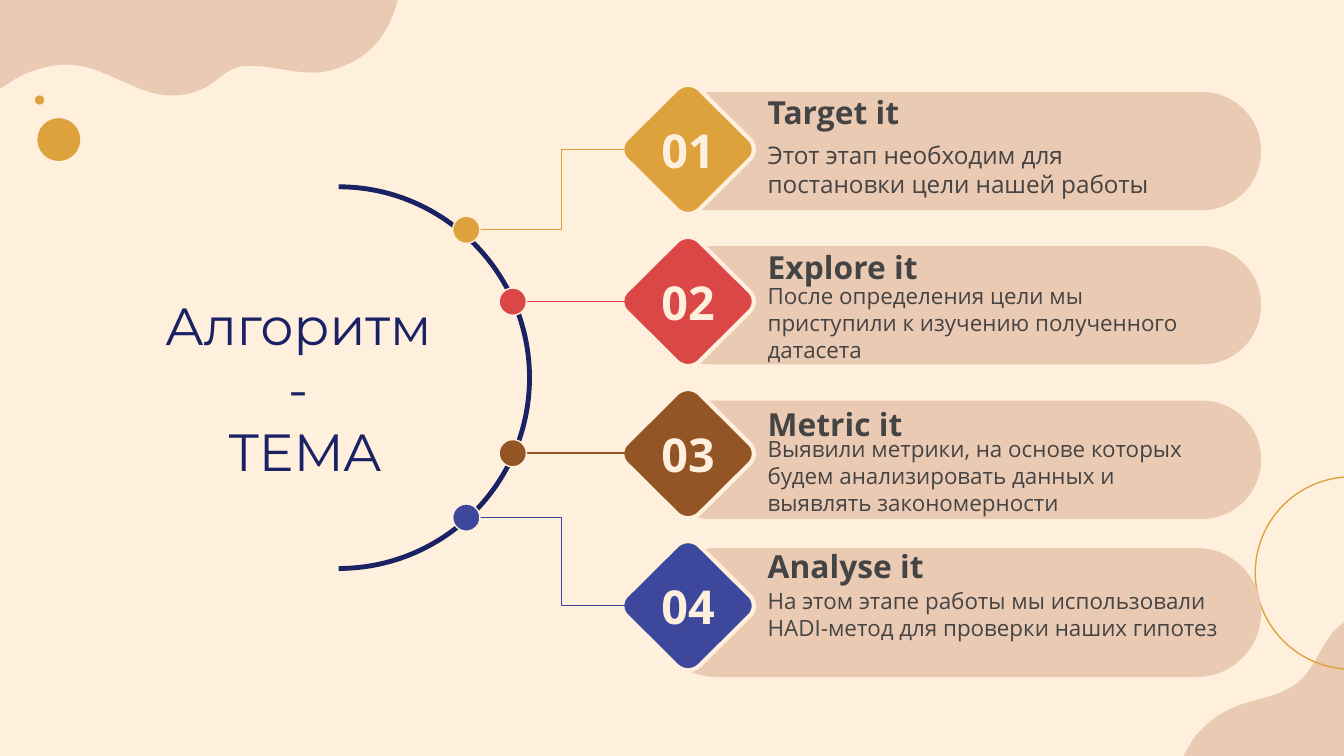
import lxml.etree
import pptx
import pptx.dml.color
import pptx.enum.shapes
import pptx.enum.text
import pptx.oxml.ns
import pptx.util

Pt = pptx.util.Pt
RGB = pptx.dml.color.RGBColor
SHAPE = pptx.enum.shapes.MSO_SHAPE
CONNECTOR = pptx.enum.shapes.MSO_CONNECTOR
ALIGN = pptx.enum.text.PP_ALIGN
ANCHOR = pptx.enum.text.MSO_ANCHOR
qn = pptx.oxml.ns.qn

CREAM = RGB(0xFF, 0xF0, 0xDE)
PEACH = RGB(0xEB, 0xCA, 0xB3)
GOLD = RGB(0xDE, 0xA2, 0x3C)
RED = RGB(0xDB, 0x46, 0x46)
BROWN = RGB(0x94, 0x55, 0x26)
BLUE = RGB(0x3D, 0x48, 0x9C)
NAVY = RGB(0x1A, 0x22, 0x63)
GREY = RGB(0x44, 0x44, 0x44)

TITLE_FONT = "Montserrat"
BODY_FONT = "Open Sans"

DIAMOND_X = 368.6
DIAMOND_TOP_Y = 80
DIAMOND_STEP = 81.5
DOT_SIZE = 14.6
BEND_X = 301
LINE_END_X = 337
BODY_X = 404.2

TOP_BLOB_BOX = (0, 0, 213.1, 51.1)
TOP_BLOB = [
    (0, 0), (0, 47.5),
    (5, 44.6, 9.4, 41, 15.1, 38.9), (23, 36, 29.5, 34.6, 35.3, 34.6),
    (49, 34.6, 59, 41, 74.9, 47.5), (80.6, 49.7, 86.4, 51.1, 92.2, 51.1),
    (98.6, 51.1, 104.4, 49.7, 110.2, 46.8),
    (118.8, 41.8, 122.4, 35.3, 133.2, 35.3),
    (146.2, 35.3, 156.2, 38.9, 167.8, 38.9),
    (172.1, 38.9, 177.1, 38.2, 182.2, 36),
    (198.7, 30.2, 208.1, 18.7, 213.1, 0),
]
BOTTOM_BLOB_BOX = (629.5, 330.4, 117.1, 119.5)
BOTTOM_BLOB = [
    (640.8, 393.8), (641.5, 393.1, 642.2, 392.4, 643, 391.7),
    (648.7, 385.2, 656.6, 380.2, 665.3, 377.3),
    (673.9, 374.4, 684, 373, 691.9, 367.9),
    (702, 362.2, 705.6, 350.6, 712.1, 341.3),
    (715.7, 336.2, 721.4, 331.2, 727.9, 330.5),
    (741.6, 329, 746.6, 342, 746.6, 353.5),
    (746.6, 367.2, 740.2, 380.2, 733.7, 392.4),
    (727.9, 403.2, 720, 413.3, 711.4, 421.2),
    (698.4, 432.7, 682.6, 444.2, 666, 448.6),
    (653.8, 452.2, 639.4, 447.8, 632.9, 437),
    (625, 423.4, 632.2, 405.4, 640.8, 393.8),
]
ARC_BOX = (181.4, 100.1, 102.3, 204.5)
ARC = [
    (181.4, 100.1), (237.6, 100.1, 283.7, 146.2, 283.7, 202.3),
    (283.7, 259.2, 237.6, 304.6, 181.4, 304.6),
]
DIAMOND_BOX = (-35.3, -34.6, 70.6, 69.2)
DIAMOND = [
    (0, -34.6), (-2.1, -34.6, -4.2, -33.8, -5.8, -32.4), (-32.4, -6),
    (-36.2, -3, -36.2, 3, -32.4, 6), (-5.8, 32.4),
    (-4.2, 33.8, -2.1, 34.6, 0, 34.6), (2.1, 34.6, 4.2, 33.8, 5.8, 32.4),
    (32.4, 6), (36.2, 3, 36.2, -3, 32.4, -6), (5.8, -32.4),
    (4.2, -33.8, 2.1, -34.6, 0, -34.6),
]

STEPS = [
    (GOLD, (249.8, 123.1), (49.2, 63.4), "Target it", (42.5, 25.9),
     "Этот этап необходим для постановки цели нашей работы",
     13, (67.7, 239.8)),
    (RED, (274.7, 161.6), (131.8, 63.4), "Explore it", (125.3, 25.9),
     "После определения цели мы приступили к изучению полученного датасета",
     12, (144, 239.8)),
    (BROWN, (274.7, 242.8), (214.6, 63.4), "Metric it", (209.5, 25.9),
     "Выявили метрики, на основе которых будем анализировать данных "
     "и выявлять закономерности",
     12, (226, 239.8)),
    (BLUE, (249.8, 277.3), (293.6, 69.1), "Analyse it", (285.8, 30.2),
     "На этом этапе работы мы использовали HADI-метод для проверки "
     "наших гипотез",
     12, (307.4, 256.3)),
]


def style(sp, fill=None, line=None, width=0.75):
    sp.shadow.inherit = False
    if fill is None:
        sp.fill.background()
    else:
        sp.fill.solid()
        sp.fill.fore_color.rgb = fill
    if line is None:
        sp.line.fill.background()
    else:
        sp.line.color.rgb = line
        sp.line.width = Pt(width)


def add_preset(s, kind, x, y, w, h, **look):
    sp = s.shapes.add_shape(kind, Pt(x), Pt(y), Pt(w), Pt(h))
    style(sp, **look)
    return sp


def add_dot(s, cx, cy, size, **look):
    add_preset(s, SHAPE.OVAL, cx - size / 2, cy - size / 2, size, size, **look)


def add_outline(s, outline, box, dx=0, dy=0, close=True, **look):
    ends = [(Pt(seg[-2]), Pt(seg[-1])) for seg in outline]
    builder = s.shapes.build_freeform(*ends[0])
    builder.add_line_segments(ends[1:], close=False)
    sp = builder.convert_to_shape()
    x, y, w, h = box
    sp.left, sp.top, sp.width, sp.height = Pt(x + dx), Pt(y + dy), Pt(w), Pt(h)
    path = next(sp._element.iter(qn("a:path")))
    path.set("w", str(Pt(w)))
    path.set("h", str(Pt(h)))
    for node, seg in zip(list(path), outline):
        if len(seg) == 6:
            node.tag = qn("a:cubicBezTo")
        for child in list(node):
            node.remove(child)
        for px, py in zip(seg[::2], seg[1::2]):
            lxml.etree.SubElement(node, qn("a:pt"),
                                  x=str(Pt(px - x)), y=str(Pt(py - y)))
    if close:
        lxml.etree.SubElement(path, qn("a:close"))
    style(sp, **look)


def add_link(s, dot, end_y, color):
    x, y = dot
    straight = abs(y - end_y) < 2
    kind = CONNECTOR.STRAIGHT if straight else CONNECTOR.ELBOW
    link = s.shapes.add_connector(
        kind, Pt(x), Pt(y), Pt(LINE_END_X), Pt(y if straight else end_y))
    link.line.color.rgb = color
    link.line.width = Pt(0.75)
    sp_pr = link._element.spPr
    lxml.etree.SubElement(sp_pr, qn("a:effectLst"))
    if not straight:
        bend = round((BEND_X - x) / (LINE_END_X - x) * 100000)
        guides = sp_pr.find(qn("a:prstGeom")).find(qn("a:avLst"))
        lxml.etree.SubElement(guides, qn("a:gd"), name="adj1", fmla=f"val {bend}")


def add_text(s, x, y, w, h, lines, size, color, font=BODY_FONT, bold=False,
             align=ALIGN.LEFT, anchor=ANCHOR.TOP):
    tf = s.shapes.add_textbox(Pt(x), Pt(y), Pt(w), Pt(h)).text_frame
    tf.word_wrap = True
    tf.vertical_anchor = anchor
    tf.margin_left = tf.margin_right = Pt(7.2)
    tf.margin_top = tf.margin_bottom = Pt(7.2)
    for i, line in enumerate(lines):
        p = tf.add_paragraph() if i else tf.paragraphs[0]
        p.alignment = align
        r = p.add_run()
        r.text = line
        r.font.name = font
        r.font.size = Pt(size)
        r.font.bold = bold
        r.font.color.rgb = color


def add_background(s):
    s.background.fill.solid()
    s.background.fill.fore_color.rgb = CREAM
    add_outline(s, TOP_BLOB, TOP_BLOB_BOX, fill=PEACH)
    add_dot(s, 21.2, 53.6, 5, fill=GOLD)
    add_outline(s, BOTTOM_BLOB, BOTTOM_BLOB_BOX, fill=PEACH)
    add_dot(s, 31.5, 74.8, 23, fill=GOLD)
    add_dot(s, 724, 307, 103, line=GOLD)


def add_step(s, i, step):
    color, dot, (bar_y, bar_h), head, (head_y, head_h), text, size, (y, w) = step
    cy = DIAMOND_TOP_Y + i * DIAMOND_STEP
    bar = add_preset(s, SHAPE.ROUNDED_RECTANGLE, 349.2, bar_y, 326.4, bar_h,
                     fill=PEACH)
    bar.adjustments[0] = 0.5
    add_outline(s, DIAMOND, DIAMOND_BOX, DIAMOND_X, cy,
                fill=color, line=CREAM, width=2.25)
    add_link(s, dot, cy, color)
    add_dot(s, *dot, DOT_SIZE, fill=color, line=CREAM)
    add_text(s, DIAMOND_X - 35.3, cy - 31, 70.6, 62, [f"{i + 1:02d}"], 25,
             CREAM, bold=True, align=ALIGN.CENTER, anchor=ANCHOR.MIDDLE)
    add_text(s, BODY_X, head_y, 239.8, head_h, [head], 17, GREY, bold=True)
    add_text(s, BODY_X, y, w, 52.6, [text], size, GREY)


def main():
    prs = pptx.Presentation()
    prs.slide_width, prs.slide_height = Pt(720), Pt(405)
    s = prs.slides.add_slide(prs.slide_layouts[6])
    add_background(s)
    add_text(s, 43.5, 156.2, 239.8, 103, ["Алгоритм ", "- ", "TEMA"], 28, NAVY,
             font=TITLE_FONT, align=ALIGN.CENTER, anchor=ANCHOR.MIDDLE)
    add_outline(s, ARC, ARC_BOX, close=False, line=NAVY, width=2.61)
    for i, step in enumerate(STEPS):
        add_step(s, i, step)
    prs.save("out.pptx")


if __name__ == "__main__":
    main()
